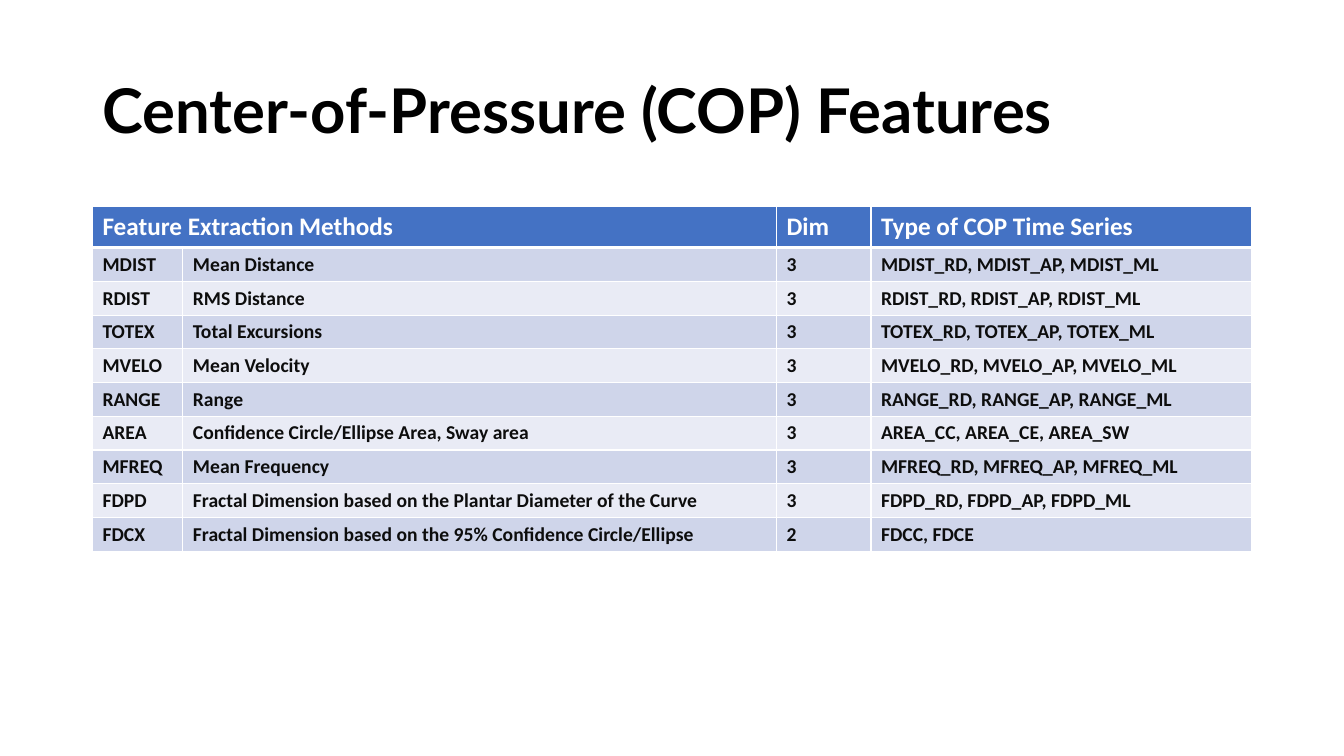
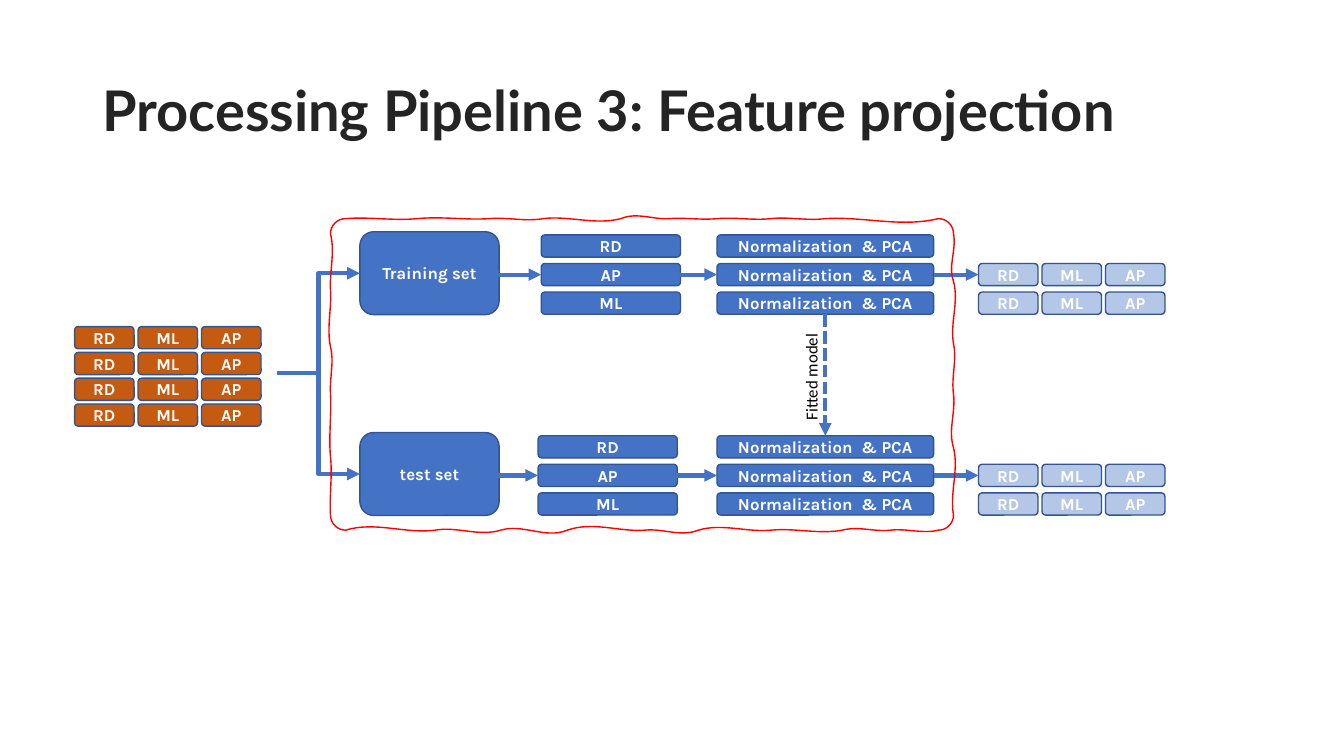
from dataclasses import dataclass

from lxml import etree
from pptx import Presentation
from pptx.dml.color import RGBColor
from pptx.enum.dml import MSO_LINE
from pptx.enum.shapes import MSO_CONNECTOR, MSO_SHAPE
from pptx.enum.text import MSO_ANCHOR, PP_ALIGN
from pptx.oxml.ns import qn
from pptx.util import Cm, Pt

STRAIGHT, ELBOW = MSO_CONNECTOR.STRAIGHT, MSO_CONNECTOR.ELBOW
ROUNDED = MSO_SHAPE.ROUNDED_RECTANGLE
DASHED = MSO_LINE.SQUARE_DOT
MIDDLE, CENTER = MSO_ANCHOR.MIDDLE, PP_ALIGN.CENTER
TOP, LEFT, BOTTOM, RIGHT = range(4)


@dataclass(frozen=True)
class Theme:
    title_font: str = "Lato"
    body_font: str = "Calibri"
    diagram_font: str = "Karla"
    table_title_size: int = 44
    pipeline_title_size: int = 40
    header_size: int = 18
    cell_size: int = 14
    label_size: int = 12
    black: str = "000000"
    charcoal: str = "242424"
    cell_text: str = "0D0D0D"
    white: str = "FFFFFF"
    blue: str = "4472C4"
    outline: str = "325491"
    pale_blue: str = "B4C7E7"
    orange: str = "C55A11"
    red: str = "FF0000"
    bands: tuple = ("CFD5EA", "E9EBF5")


THEME = Theme()
SERIES = ("RD", "AP", "ML")
CHIP_LABELS = ("RD", "ML", "AP")
BAR_HEIGHT = 0.56
BAR_PITCH = 0.72
CHIP_WIDTH = 1.5
CHIP_PITCH = 1.6

COLUMN_WIDTHS = (2.28, 14.96, 2.38, 9.59)
HEADERS = ("Feature Extraction Methods", "", "Dim", "Type of COP Time Series")
FEATURES = (
    ("MDIST", "Mean Distance", "3", "MDIST_RD, MDIST_AP, MDIST_ML"),
    ("RDIST", "RMS Distance", "3", "RDIST_RD, RDIST_AP, RDIST_ML"),
    ("TOTEX", "Total Excursions", "3", "TOTEX_RD, TOTEX_AP, TOTEX_ML"),
    ("MVELO", "Mean Velocity", "3", "MVELO_RD, MVELO_AP, MVELO_ML"),
    ("RANGE", "Range", "3", "RANGE_RD, RANGE_AP, RANGE_ML"),
    ("AREA", "Confidence Circle/Ellipse Area, Sway area", "3",
     "AREA_CC, AREA_CE, AREA_SW"),
    ("MFREQ", "Mean Frequency", "3", "MFREQ_RD, MFREQ_AP, MFREQ_ML"),
    ("FDPD", "Fractal Dimension based on the Plantar Diameter of the Curve", "3",
     "FDPD_RD, FDPD_AP, FDPD_ML"),
    ("FDCX", "Fractal Dimension based on the 95% Confidence Circle/Ellipse", "2",
     "FDCC, FDCE"),
)

FRAME_LEFT, FRAME_TOP, FRAME_RIGHT, FRAME_BOTTOM = 8.33, 5.51, 24.03, 13.36
TOP_WAVE = ((8.71, 0.05), (10.52, 0.06), (12.34, 0.04), (13.69, 0.08), (15.65, 0.17),
            (16.87, 0.03), (18.08, 0.04), (19.43, 0.05), (20.8, 0.06), (23.65, 0.23))
RIGHT_WAVE = ((5.89, 0.08), (7.09, 0.14), (8.66, 0.09), (9.93, 0.06), (11.28, 0.14),
              (12.98, 0.1))
BOTTOM_WAVE = ((23.65, 0.1), (22.45, 0.05), (21.23, 0.11), (19.43, 0.06), (17.6, 0.18),
               (16.26, 0.05), (14.3, 0.23), (12.62, 0.17), (10.97, 0.1), (8.71, 0.23))
LEFT_WAVE = ((12.98, 0.03), (11.51, 0.05), (9.93, 0.03), (8.74, 0.1), (7.32, 0.03),
             (5.89, 0.12))


def color(value):
    return RGBColor.from_string(value)


def write(paragraph, text, font, size, text_color, bold=True):
    run = paragraph.add_run()
    run.text = text
    run.font.name = font
    run.font.size = Pt(size)
    run.font.bold = bold
    run.font.color.rgb = color(text_color)


def clear_margins(frame):
    frame.margin_left = frame.margin_right = frame.margin_top = frame.margin_bottom = 0


def add_title(slide, text, size, text_color):
    box = slide.shapes.add_textbox(Cm(2.33), Cm(1.02), Cm(29.21), Cm(3.68))
    frame = box.text_frame
    frame.word_wrap = True
    frame.vertical_anchor = MIDDLE
    paragraph = frame.paragraphs[0]
    paragraph.line_spacing = 0.9
    write(paragraph, text, THEME.title_font, size, text_color)


def set_borders(cell, top_width, bottom_width):
    properties = cell._tc.get_or_add_tcPr()
    widths = (("a:lnL", 1), ("a:lnR", 1), ("a:lnT", top_width), ("a:lnB", bottom_width))
    for position, (tag, width) in enumerate(widths):
        line = etree.Element(qn(tag), w=str(Pt(width)))
        fill = etree.SubElement(line, qn("a:solidFill"))
        etree.SubElement(fill, qn("a:srgbClr"), val=THEME.white)
        properties.insert(position, line)


def add_feature_table(slide):
    rows = (HEADERS,) + FEATURES
    heights = [1.03] + [0.85] * len(FEATURES)
    table = slide.shapes.add_table(
        len(rows), len(COLUMN_WIDTHS), Cm(2.33), Cm(5.21),
        Cm(sum(COLUMN_WIDTHS)), Cm(sum(heights))).table
    for column, width in zip(table.columns, COLUMN_WIDTHS):
        column.width = Cm(width)
    for row_index, values in enumerate(rows):
        table.rows[row_index].height = Cm(heights[row_index])
        is_header = row_index == 0
        fill = THEME.blue if is_header else THEME.bands[(row_index - 1) % 2]
        size = THEME.header_size if is_header else THEME.cell_size
        text_color = THEME.white if is_header else THEME.cell_text
        for column_index, text in enumerate(values):
            cell = table.cell(row_index, column_index)
            cell.fill.solid()
            cell.fill.fore_color.rgb = color(fill)
            set_borders(cell, 3 if row_index == 1 else 1, 3 if is_header else 1)
            if text:
                write(cell.text_frame.paragraphs[0], text, THEME.body_font, size, text_color)
    table.cell(0, 0).merge(table.cell(0, 1))


def add_block(slide, text, left, top, width, height=BAR_HEIGHT, fill=THEME.blue):
    block = slide.shapes.add_shape(ROUNDED, Cm(left), Cm(top), Cm(width), Cm(height))
    block.shadow.inherit = False
    block.fill.solid()
    block.fill.fore_color.rgb = color(fill)
    block.line.color.rgb = color(THEME.outline)
    block.line.width = Pt(1)
    frame = block.text_frame
    frame.word_wrap = True
    frame.vertical_anchor = MIDDLE
    clear_margins(frame)
    paragraph = frame.paragraphs[0]
    paragraph.alignment = CENTER
    write(paragraph, text, THEME.diagram_font, THEME.label_size, THEME.white)
    return block


def add_stack(slide, labels, left, middle, width):
    top = middle - BAR_HEIGHT / 2 - BAR_PITCH
    return [add_block(slide, label, left, top + index * BAR_PITCH, width)
            for index, label in enumerate(labels)]


def add_chips(slide, left, top, row_count, row_pitch, fill):
    return [add_block(slide, label, left + column * CHIP_PITCH, top + row * row_pitch,
                      CHIP_WIDTH, fill=fill)
            for row in range(row_count) for column, label in enumerate(CHIP_LABELS)]


def style_arrow(connector, dash=None):
    connector.line.color.rgb = color(THEME.blue)
    connector.line.width = Pt(3)
    if dash:
        connector.line.dash_style = dash
    properties = connector.element.spPr
    etree.SubElement(properties.find(qn("a:ln")), qn("a:tailEnd"), type="triangle")
    etree.SubElement(properties, qn("a:effectLst"))


def set_bend(connector, bend):
    geometry = connector.element.spPr.find(qn("a:prstGeom"))
    adjustments = geometry.find(qn("a:avLst"))
    if adjustments is None:
        adjustments = etree.SubElement(geometry, qn("a:avLst"))
    etree.SubElement(adjustments, qn("a:gd"), name="adj1", fmla=f"val {round(bend * 100000)}")


def join_across(slide, source, target, bend):
    connector = slide.shapes.add_connector(ELBOW, 0, 0, 0, 0)
    connector.begin_connect(source, RIGHT)
    connector.end_connect(target, LEFT)
    set_bend(connector, bend)
    style_arrow(connector)


def join_down(slide, source, target):
    connector = slide.shapes.add_connector(STRAIGHT, 0, 0, 0, 0)
    connector.begin_connect(source, BOTTOM)
    connector.end_connect(target, TOP)
    style_arrow(connector, DASHED)


def add_split_arrow(slide, target):
    connector = slide.shapes.add_connector(
        ELBOW, Cm(6.99), Cm(9.4), target.left, target.top + target.height // 2)
    connector.end_connect(target, LEFT)
    style_arrow(connector)


def add_branch(slide, name, middle, series_left, model_bend):
    data_set = add_block(slide, name, 9.07, middle - 1.08, 3.51, 2.09)
    series = add_stack(slide, SERIES, series_left, middle, 3.51)
    models = add_stack(slide, ["Normalization  & PCA"] * len(SERIES), 18.07, middle, 5.46)
    results = add_chips(slide, 24.66, middle - BAR_HEIGHT / 2, 2, BAR_PITCH, THEME.pale_blue)
    add_split_arrow(slide, data_set)
    join_across(slide, data_set, series[1], -0.5)
    join_across(slide, series[1], models[1], model_bend)
    join_across(slide, models[1], results[0], 0.5)
    return models


def wavy_edge(wave, base, outward, horizontal):
    def place(along, across):
        return (along, across) if horizontal else (across, along)

    points = [place(wave[0][0], base)]
    for (start, start_swing), (end, end_swing) in zip(wave, wave[1:]):
        third = (end - start) / 3
        points += [place(start + third, base + outward * start_swing),
                   place(end - third, base - outward * end_swing),
                   place(end, base)]
    return points


def pull(point, corner):
    return tuple(value + 0.55 * (goal - value) for value, goal in zip(point, corner))


def smooth_outline(shape):
    drawing = next(shape.element.iter(qn("a:path")))
    segments = drawing.findall(qn("a:lnTo"))
    for first, second, end in zip(segments[::3], segments[1::3], segments[2::3]):
        curve = etree.Element(qn("a:cubicBezTo"))
        drawing.replace(first, curve)
        for segment in (first, second, end):
            curve.append(segment.find(qn("a:pt")))
        drawing.remove(second)
        drawing.remove(end)


def add_wavy_frame(slide):
    edges = (wavy_edge(TOP_WAVE, FRAME_TOP, -1, True),
             wavy_edge(RIGHT_WAVE, FRAME_RIGHT, 1, False),
             wavy_edge(BOTTOM_WAVE, FRAME_BOTTOM, 1, True),
             wavy_edge(LEFT_WAVE, FRAME_LEFT, -1, False))
    corners = ((FRAME_RIGHT, FRAME_TOP), (FRAME_RIGHT, FRAME_BOTTOM),
               (FRAME_LEFT, FRAME_BOTTOM), (FRAME_LEFT, FRAME_TOP))
    points = []
    for edge, following, corner in zip(edges, edges[1:] + edges[:1], corners):
        points += edge + [pull(edge[-1], corner), pull(following[0], corner)]
    points.append(points[0])
    outline = [(Cm(x), Cm(y)) for x, y in points]
    builder = slide.shapes.build_freeform(*outline[0])
    builder.add_line_segments(outline[1:], close=True)
    frame = builder.convert_to_shape()
    smooth_outline(frame)
    frame.shadow.inherit = False
    frame.fill.background()
    frame.line.color.rgb = color(THEME.red)
    frame.line.width = Pt(1)


def add_model_label(slide):
    box = slide.shapes.add_textbox(Cm(19.08), Cm(9.12), Cm(2.72), Cm(0.76))
    box.rotation = 270
    frame = box.text_frame
    frame.word_wrap = True
    frame.vertical_anchor = MIDDLE
    clear_margins(frame)
    paragraph = frame.paragraphs[0]
    paragraph.alignment = CENTER
    write(paragraph, "Fitted model", THEME.body_font, THEME.label_size, THEME.black, False)


def add_pipeline(slide):
    training_models = add_branch(slide, "Training set", 6.92, 13.64, -0.5)
    test_models = add_branch(slide, "test set", 11.98, 13.56, -1.19)
    join_down(slide, training_models[-1], test_models[0])
    add_wavy_frame(slide)
    add_chips(slide, 1.88, 8.23, 4, 0.65, THEME.orange)
    add_model_label(slide)


def main():
    presentation = Presentation()
    presentation.slide_width, presentation.slide_height = Cm(33.87), Cm(19.05)
    blank = presentation.slide_layouts[6]

    features_slide = presentation.slides.add_slide(blank)
    add_title(features_slide, "Center-of-Pressure (COP) Features",
              THEME.table_title_size, THEME.black)
    add_feature_table(features_slide)

    pipeline_slide = presentation.slides.add_slide(blank)
    add_title(pipeline_slide, "Processing Pipeline 3: Feature projection",
              THEME.pipeline_title_size, THEME.charcoal)
    add_pipeline(pipeline_slide)

    presentation.save("out.pptx")


if __name__ == "__main__":
    main()
